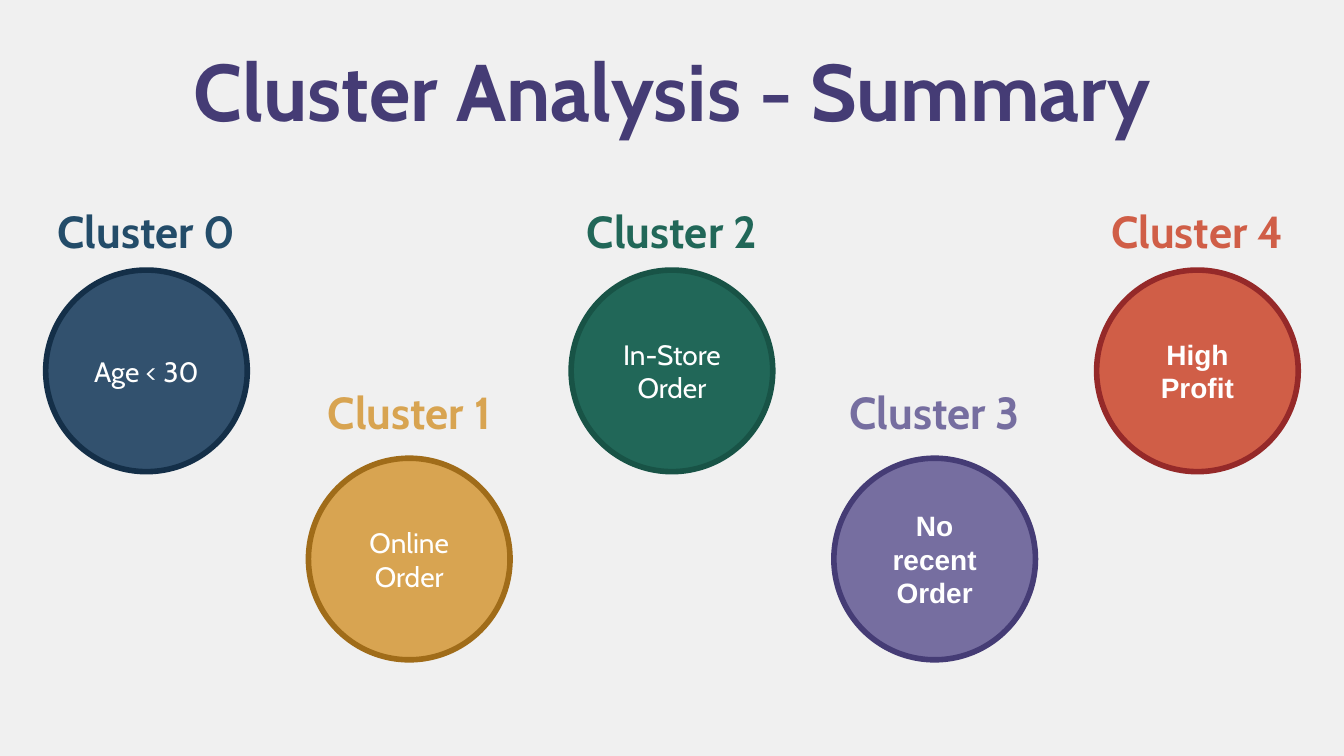
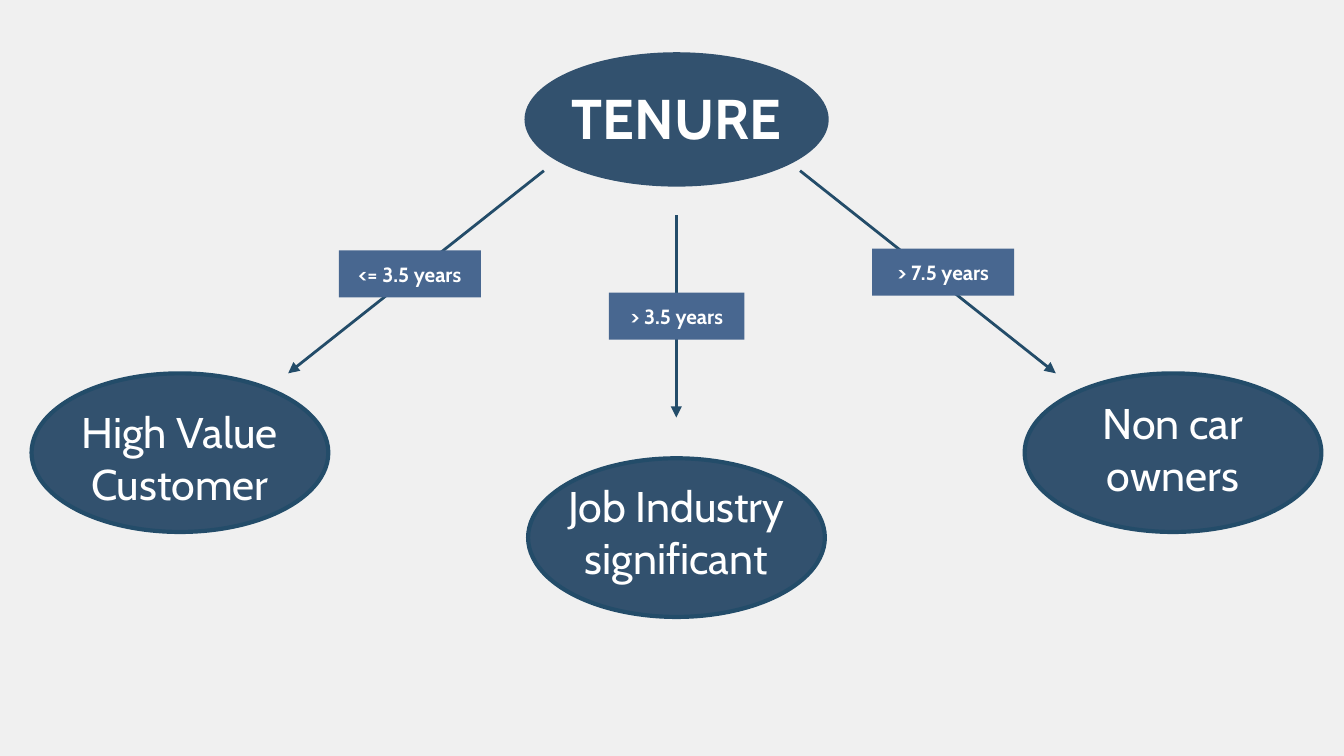
from lxml import etree
from pptx import Presentation
from pptx.dml.color import RGBColor
from pptx.enum.shapes import MSO_CONNECTOR as Connector, MSO_SHAPE as Shape
from pptx.enum.text import MSO_ANCHOR as Anchor, PP_ALIGN as Align
from pptx.oxml.ns import qn
from pptx.util import Pt

COLORS = {
    "background": "F0F0F0",
    "white": "FFFFFF",
    "navy": "32516E",
    "navy_dark": "142F48",
    "navy_text": "234C69",
    "blue": "486790",
    "gold": "D8A451",
    "gold_dark": "A06C19",
    "green": "216758",
    "green_dark": "185346",
    "purple": "766EA0",
    "purple_dark": "453C75",
    "red": "D05E47",
    "red_dark": "952929",
}
FONT = "Cabin"
INSET = 7.2


def rgb(name):
    return RGBColor.from_string(COLORS[name])


def new_slide(presentation):
    slide = presentation.slides.add_slide(presentation.slide_layouts[6])
    slide.background.fill.solid()
    slide.background.fill.fore_color.rgb = rgb("background")
    return slide


def write_text(shape, text, size, color="white", bold=False, font=FONT, anchor=Anchor.MIDDLE):
    frame = shape.text_frame
    frame.text = text
    frame.word_wrap = True
    frame.vertical_anchor = anchor
    frame.margin_left = frame.margin_right = Pt(INSET)
    frame.margin_top = frame.margin_bottom = Pt(INSET)
    paragraph = frame.paragraphs[0]
    paragraph.alignment = Align.CENTER
    for run in paragraph.runs:
        run.font.name = font
        run.font.size = Pt(size)
        run.font.bold = bold
        run.font.color.rgb = rgb(color)


def add_text(slide, box, text, size, **style):
    text_box = slide.shapes.add_textbox(*map(Pt, box))
    write_text(text_box, text, size, **{"anchor": Anchor.TOP, **style})


def add_filled(slide, kind, box, fill, line=None, line_width=0):
    shape = slide.shapes.add_shape(kind, *map(Pt, box))
    shape.shadow.inherit = False
    shape.fill.solid()
    shape.fill.fore_color.rgb = rgb(fill)
    if line:
        shape.line.color.rgb = rgb(line)
        shape.line.width = Pt(line_width)
    else:
        shape.line.fill.background()
    return shape


def add_arrow(slide, start, end):
    arrow = slide.shapes.add_connector(Connector.STRAIGHT, *map(Pt, (*start, *end)))
    arrow.line.color.rgb = rgb("navy_text")
    arrow.line.width = Pt(1.5)
    etree.SubElement(arrow.line._get_or_add_ln(), qn("a:tailEnd"), type="triangle")
    etree.SubElement(arrow._element.spPr, qn("a:effectLst"))


def build_summary(slide):
    add_text(slide, (24.5, 15.8, 671, 64), "Cluster Analysis - Summary", 43,
             color="purple_dark", bold=True, anchor=Anchor.MIDDLE)

    # Clusters: text, fill, outline, label colour, font, bold
    clusters = [
        ("Age < 30", "navy", "navy_dark", "navy_text", FONT, False),
        ("Online Order", "gold", "gold_dark", "gold", FONT, False),
        ("In-Store Order", "green", "green_dark", "green", FONT, False),
        ("No recent Order", "purple", "purple_dark", "purple", "Arial", True),
        ("High Profit", "red", "red_dark", "red", "Arial", True),
    ]
    diameter, label_width, first_left, step = 108, 121, 24.5, 140.75
    for index, (text, fill, line, label_color, font, bold) in enumerate(clusters):
        left = first_left + index * step
        # Odd clusters sit on the lower row
        circle_top, label_top = (245.5, 198.7) if index % 2 else (144.7, 102.2)
        circle = add_filled(slide, Shape.OVAL, (left, circle_top, diameter, diameter),
                            fill, line, 3)
        write_text(circle, text, 15, font=font, bold=bold)
        label_left = left + (diameter - label_width) / 2
        add_text(slide, (label_left, label_top, label_width, 43.2), f"Cluster {index}", 24,
                 color=label_color, bold=True)


def build_tenure_tree(slide):
    # Root
    add_filled(slide, Shape.OVAL, (281, 28, 163, 72), "navy")
    add_text(slide, (283, 37.4, 159, 56), "TENURE", 30, bold=True)

    # Branches: arrow start, arrow end, condition, condition box
    branches = [
        ((291.4, 91.5), (154.4, 200), "<= 3.5 years", (181.5, 134.2, 76.2, 25.2)),
        ((362.3, 115.2), (362.3, 223.7), "> 3.5 years", (326.2, 156.8, 72.6, 25.2)),
        ((428.6, 91.5), (565.6, 200), "> 7.5 years", (467.2, 133.2, 76.2, 25.2)),
    ]
    for start, end, condition, box in branches:
        add_arrow(slide, start, end)
        tag = add_filled(slide, Shape.RECTANGLE, box, "blue")
        write_text(tag, condition, 11, bold=True)

    # Leaves: text, oval top, text top
    leaves = [
        ("High Value Customer", 200, 210.2),
        ("Job Industry significant", 245.5, 250),
        ("Non car owners", 200, 205.3),
    ]
    width, first_left, step = 159, 16.9, 266
    for index, (text, oval_top, text_top) in enumerate(leaves):
        left = first_left + index * step
        add_filled(slide, Shape.OVAL, (left, oval_top, width, 85), "navy", "navy_text", 2.25)
        add_text(slide, (left, text_top, width, 69), text, 23)


def main():
    presentation = Presentation()
    presentation.slide_width = Pt(720)
    presentation.slide_height = Pt(405)
    build_summary(new_slide(presentation))
    build_tenure_tree(new_slide(presentation))
    presentation.save("out.pptx")


if __name__ == "__main__":
    main()
